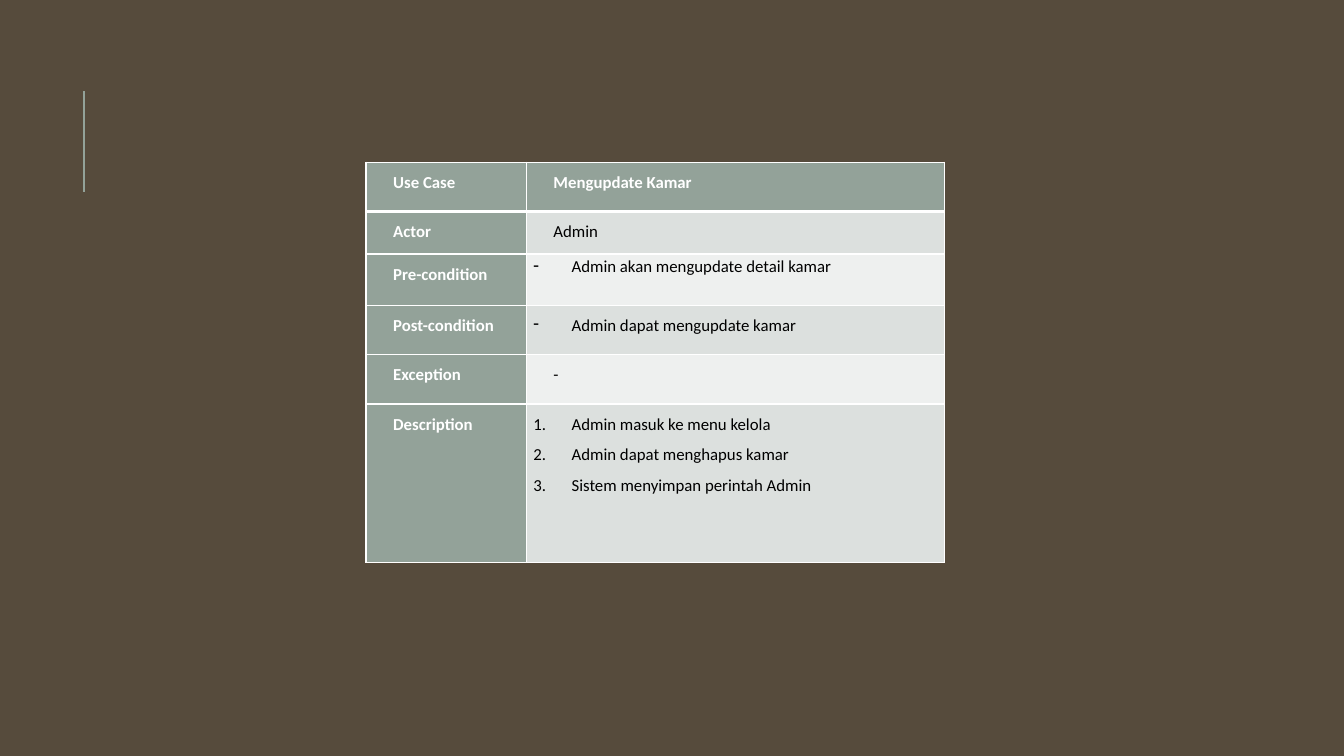
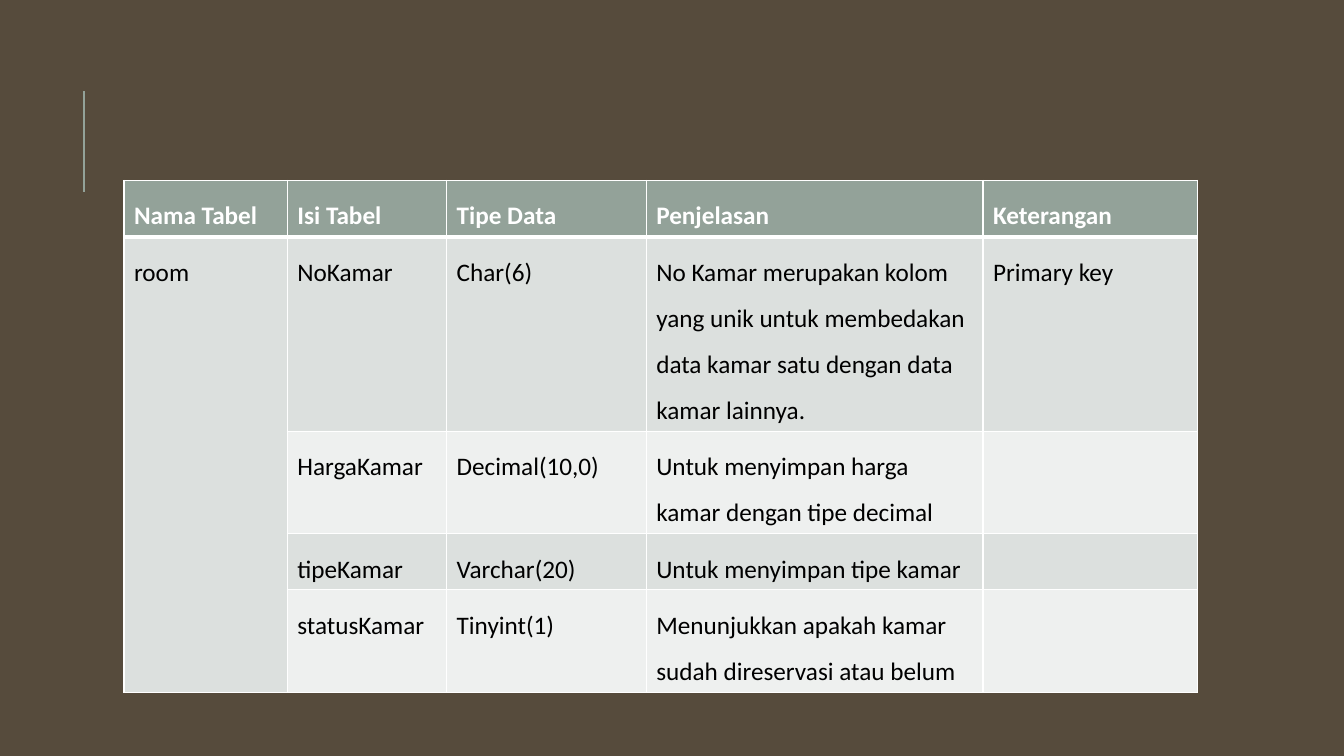
from dataclasses import dataclass

from lxml import etree
from pptx import Presentation
from pptx.dml.color import RGBColor
from pptx.enum import shapes, text
from pptx.oxml.ns import qn
from pptx.util import Inches, Pt


@dataclass(frozen=True)
class Theme:
    background: str = "564B3C"
    accent: str = "93A299"
    bands: tuple = ("DCE0DE", "EEF0EF")
    border: str = "FFFFFF"
    heading: str = "FFFFFF"
    body: str = "000000"
    font: str = "Calibri"
    use_case_size: int = 12
    columns_size: int = 18
    line_spacing: float = 1.5
    border_width: int = 1
    header_rule: int = 3


THEME = Theme()


@dataclass(frozen=True)
class Items:
    """A list inside a cell: dashes, or numbers when numbered."""
    lines: tuple
    numbered: bool = False
    spacing: float = THEME.line_spacing


# Content
USE_CASE = dict(
    left=3.63, top=1.61, size=THEME.use_case_size,
    widths=(1.59, 4.15), heights=(0.49, 0.42, 0.51, 0.49, 0.49, 1.57),
    rows=[
        ("Use Case", "Mengupdate Kamar"),
        ("Actor", "Admin"),
        ("Pre-condition", Items(("Admin akan mengupdate detail kamar",), spacing=1.15)),
        ("Post-condition", Items(("Admin dapat mengupdate kamar",))),
        ("Exception", "-"),
        ("Description", Items(("Admin masuk ke menu kelola",
                               "Admin dapat menghapus kamar",
                               "Sistem menyimpan perintah Admin"), numbered=True)),
    ],
    label_column=True, margins=(0.07, 0), indent=(0.5, -0.3), align=text.PP_ALIGN.JUSTIFY,
)
ROOM_COLUMNS = dict(
    left=1.23, top=1.79, size=THEME.columns_size,
    widths=(1.62, 1.58, 1.98, 3.34, 2.13), heights=(0.5, 1.61, 0.87, 0.5, 0.87),
    rows=[
        ("Nama Tabel", "Isi Tabel", "Tipe Data", "Penjelasan", "Keterangan"),
        ("room", "NoKamar", "Char(6)",
         "No Kamar merupakan kolom yang unik untuk membedakan data kamar satu "
         "dengan data kamar lainnya.", "Primary key"),
        ("", "HargaKamar", "Decimal(10,0)",
         "Untuk menyimpan harga kamar dengan tipe decimal", ""),
        ("", "tipeKamar", "Varchar(20)", "Untuk menyimpan tipe kamar", ""),
        ("", "statusKamar", "Tinyint(1)",
         "Menunjukkan apakah kamar sudah direservasi atau belum", ""),
    ],
    merge=((1, 0), (4, 0)),
)
LIST_INDENT = (0.38, -0.38)


def rgb(code):
    return RGBColor.from_string(code)


# Shared slide frame
def add_framed_slide(prs):
    slide = prs.slides.add_slide(prs.slide_layouts[6])
    x = Inches(0.83)
    accent = slide.shapes.add_connector(
        shapes.MSO_CONNECTOR.STRAIGHT, x, Inches(1.9), x, Inches(0.9))
    accent.line.color.rgb = rgb(THEME.accent)
    accent.line.width = Pt(1.5)
    etree.SubElement(accent._element.spPr, qn("a:effectLst"))
    return slide


# Table cells
def set_borders(cell, row):
    properties = cell._tc.get_or_add_tcPr()
    top = THEME.header_rule if row == 1 else THEME.border_width
    bottom = THEME.header_rule if row == 0 else THEME.border_width
    sides = {"L": THEME.border_width, "R": THEME.border_width, "T": top, "B": bottom}
    for side, width in sides.items():
        line = etree.SubElement(properties, qn(f"a:ln{side}"), w=str(Pt(width)))
        fill = etree.SubElement(line, qn("a:solidFill"))
        etree.SubElement(fill, qn("a:srgbClr"), val=THEME.border)


def set_indent(paragraph, indent):
    properties = paragraph._p.get_or_add_pPr()
    properties.set("marL", str(Inches(indent[0])))
    properties.set("indent", str(Inches(indent[1])))


def add_bullet(paragraph, numbered):
    properties = paragraph._p.get_or_add_pPr()
    if numbered:
        etree.SubElement(properties, qn("a:buAutoNum"), type="arabicPeriod")
    else:
        etree.SubElement(properties, qn("a:buChar"), char="-")


def write_cell(cell, content, size, heading, indent, align):
    is_list = isinstance(content, Items)
    cell.text_frame.text = "\n".join(content.lines) if is_list else content
    for paragraph in cell.text_frame.paragraphs:
        paragraph.alignment = align
        paragraph.line_spacing = content.spacing if is_list else THEME.line_spacing
        if is_list:
            set_indent(paragraph, LIST_INDENT)
            add_bullet(paragraph, content.numbered)
        elif indent:
            set_indent(paragraph, indent)
        for run in paragraph.runs:
            run.font.name = THEME.font
            run.font.size = Pt(size)
            run.font.bold = heading
            run.font.color.rgb = rgb(THEME.heading if heading else THEME.body)


def add_data_table(slide, left, top, size, widths, heights, rows, label_column=False,
                   margins=None, indent=None, align=None, merge=None):
    table = slide.shapes.add_table(
        len(rows), len(widths), Inches(left), Inches(top),
        Inches(sum(widths)), Inches(sum(heights))).table
    for column, width in zip(table.columns, widths):
        column.width = Inches(width)
    for table_row, height in zip(table.rows, heights):
        table_row.height = Inches(height)
    for r, row in enumerate(rows):
        for c, content in enumerate(row):
            cell = table.cell(r, c)
            heading = r == 0 or (label_column and c == 0)
            set_borders(cell, r)
            cell.fill.solid()
            cell.fill.fore_color.rgb = rgb(THEME.accent if heading else THEME.bands[(r - 1) % 2])
            if margins:
                cell.margin_left = cell.margin_right = Inches(margins[0])
                cell.margin_top = cell.margin_bottom = Inches(margins[1])
            if content:
                write_cell(cell, content, size, heading, indent, align)
    if merge:
        first, last = merge
        table.cell(*first).merge(table.cell(*last))


def main():
    prs = Presentation()
    prs.slide_width, prs.slide_height = Inches(13.33), Inches(7.5)
    backdrop = prs.slide_master.background.fill
    backdrop.solid()
    backdrop.fore_color.rgb = rgb(THEME.background)
    for data in (USE_CASE, ROOM_COLUMNS):
        add_data_table(add_framed_slide(prs), **data)
    prs.save("out.pptx")


if __name__ == "__main__":
    main()
